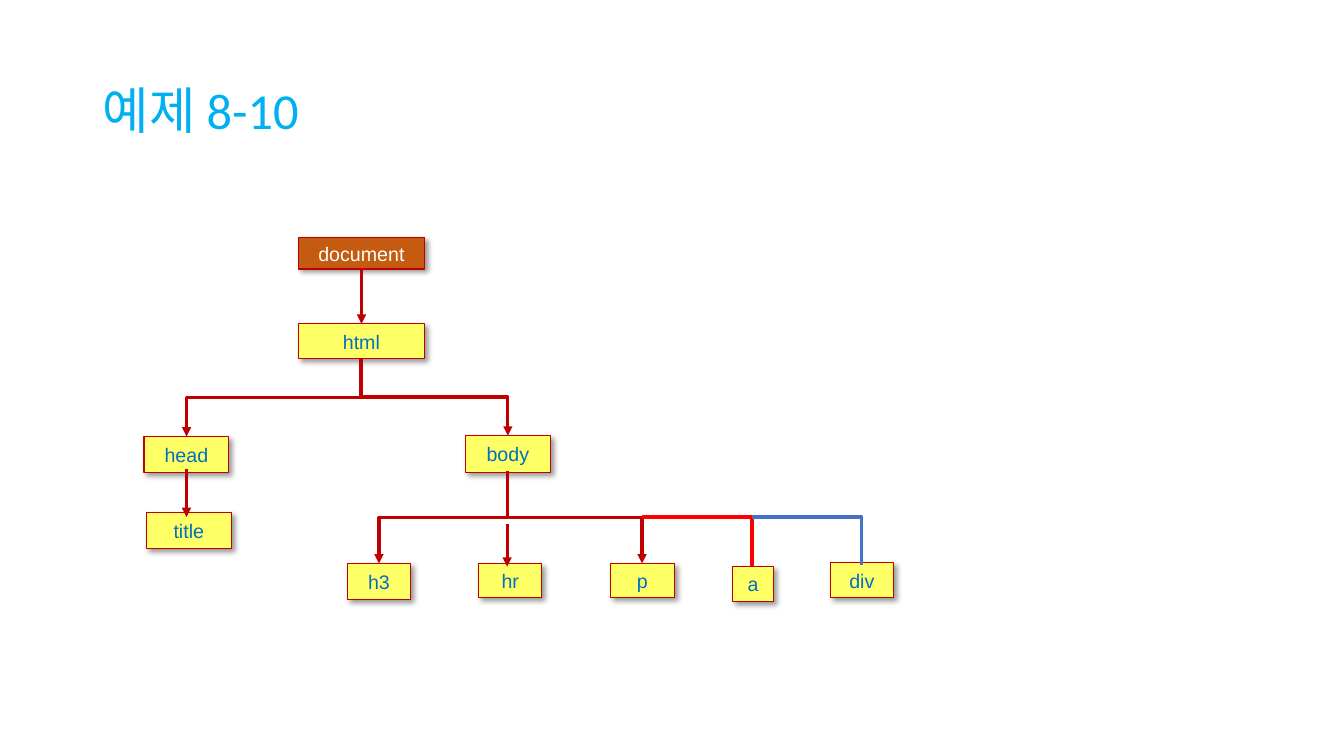
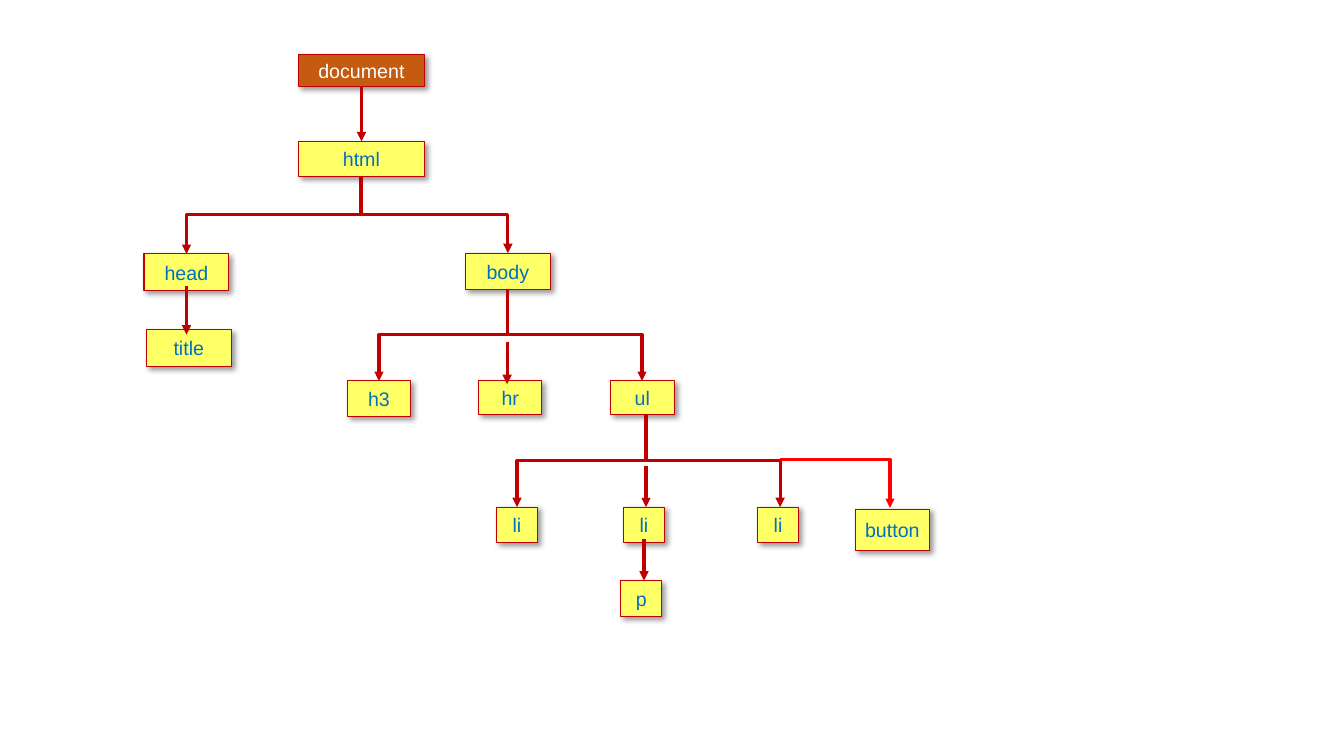
from lxml import etree
from pptx import Presentation
from pptx import util as u
from pptx.dml.color import RGBColor
from pptx.enum import shapes, text
from pptx.oxml import ns

SKY = RGBColor(0x00, 0xB0, 0xF0)
RUST = RGBColor(0xC5, 0x5A, 0x11)
YELLOW = RGBColor(0xFF, 0xFF, 0x66)
CRIMSON = RGBColor(0xC0, 0x00, 0x00)
RED = RGBColor(0xFF, 0x00, 0x00)
BLUE = RGBColor(0x44, 0x72, 0xC4)
INK = RGBColor(0x00, 0x70, 0xC0)
WHITE = RGBColor(0xFF, 0xFF, 0xFF)

SHADOW = (
    '<a:outerShdw xmlns:a="http://schemas.openxmlformats.org/drawingml/2006/main" '
    'blurRad="50800" dist="38100" dir="2700000" algn="tl" rotWithShape="0">'
    '<a:srgbClr val="000000"><a:alpha val="40000"/></a:srgbClr></a:outerShdw>'
)


def add_node(slide, label, left, top, width, height, fill=YELLOW, ink=INK):
    node = slide.shapes.add_shape(
        shapes.MSO_SHAPE.RECTANGLE, u.Cm(left), u.Cm(top), u.Cm(width), u.Cm(height))
    node.fill.solid()
    node.fill.fore_color.rgb = fill
    node.line.color.rgb = CRIMSON
    node.line.width = u.Pt(0.75)
    node.shadow.inherit = False
    effects = node._element.spPr.find(ns.qn("a:effectLst"))
    effects.append(etree.fromstring(SHADOW))
    frame = node.text_frame
    frame.word_wrap = False
    frame.vertical_anchor = text.MSO_ANCHOR.MIDDLE
    frame.margin_left = frame.margin_right = u.Cm(0.1)
    frame.margin_top = frame.margin_bottom = u.Cm(0.13)
    caption = frame.paragraphs[0]
    caption.text = label
    caption.alignment = text.PP_ALIGN.CENTER
    caption.space_before = u.Pt(2.8)
    caption.font.name = "Arial"
    caption.font.size = u.Pt(14)
    caption.font.color.rgb = ink
    return node


def add_link(slide, route, x1, y1, x2, y2, color=CRIMSON, width=2.25, arrow=True):
    kind = shapes.MSO_CONNECTOR.STRAIGHT if route == "straight" else shapes.MSO_CONNECTOR.ELBOW
    rightward = x2 > x1
    if route == "fork":
        middle_x, middle_y = (x1 + x2) / 2, (y1 + y2) / 2
        half_w, half_h = (y2 - y1) / 2, abs(x2 - x1) / 2
        if rightward:
            half_w = -half_w
        x1, x2 = middle_x - half_w, middle_x + half_w
        y1, y2 = middle_y - half_h, middle_y + half_h
    link = slide.shapes.add_connector(kind, u.Cm(x1), u.Cm(y1), u.Cm(x2), u.Cm(y2))
    properties = link._element.spPr
    if route == "fork":
        quarter_turns = 3 if rightward else 1
        properties.find(ns.qn("a:xfrm")).set("rot", str(quarter_turns * 5400000))
    if route == "corner":
        properties.find(ns.qn("a:prstGeom")).set("prst", "bentConnector2")
    link.line.color.rgb = color
    link.line.width = u.Pt(width)
    if arrow:
        stroke = properties.find(ns.qn("a:ln"))
        etree.SubElement(stroke, ns.qn("a:tailEnd"), type="triangle")
    etree.SubElement(properties, ns.qn("a:effectLst"))
    return link


deck = Presentation()
deck.slide_width = u.Cm(33.87)
deck.slide_height = u.Cm(19.05)
blank = deck.slide_layouts[6]
example, list_tree = [deck.slides.add_slide(blank) for _ in range(2)]

heading = example.shapes.add_textbox(u.Cm(2.34), u.Cm(1.02), u.Cm(29.21), u.Cm(3.68))
heading.text_frame.word_wrap = True
heading.text_frame.vertical_anchor = text.MSO_ANCHOR.MIDDLE
title = heading.text_frame.paragraphs[0]
title.text = "예제 8-10"
title.line_spacing = 0.9
title.font.name = "Calibri"
title.font.size = u.Pt(36)
title.font.color.rgb = SKY

common_nodes = [
    ("head", 3.63, 6.4, 2.14, 0.92),
    ("body", 11.73, 6.38, 2.14, 0.92),
    ("title", 3.69, 8.31, 2.14, 0.92),
    ("h3", 8.76, 9.6, 1.58, 0.9),
    ("hr", 12.07, 9.6, 1.58, 0.85),
]
common_links = [
    ("fork", 9.1, 4.43, 4.7, 6.4),
    ("fork", 9.1, 4.43, 12.8, 6.38),
    ("fork", 12.8, 7.28, 9.55, 9.6),
    ("fork", 12.8, 7.28, 16.18, 9.6),
    ("straight", 12.78, 8.61, 12.78, 9.68),
    ("straight", 4.7, 7.21, 4.7, 8.43),
]
for slide, drop, third_child in [(example, 4.6, "p"), (list_tree, 0, "ul")]:
    document = add_node(slide, "document", 7.52, 1.38 + drop, 3.18, 0.8, RUST, WHITE)
    html = add_node(slide, "html", 7.52, 3.56 + drop, 3.18, 0.88)
    for label, left, top, width, height in common_nodes + [(third_child, 15.39, 9.6, 1.6, 0.85)]:
        add_node(slide, label, left, top + drop, width, height)
    root_link = add_link(slide, "straight", 9.11, 2.18 + drop, 9.11, 3.56 + drop)
    root_link.begin_connect(document, 2)
    root_link.end_connect(html, 0)
    for route, x1, y1, x2, y2 in common_links:
        add_link(slide, route, x1, y1 + drop, x2, y2 + drop)

add_node(example, "a", 18.47, 14.27, 1.02, 0.9)
add_node(example, "div", 20.93, 14.17, 1.58, 0.9)
add_link(example, "corner", 16.18, 13.03, 18.95, 14.27, RED, 2.5, arrow=False)
add_link(example, "corner", 18.95, 13.03, 21.72, 14.25, BLUE, arrow=False)

for item_left in (12.52, 15.72, 19.1):
    add_node(list_tree, "li", item_left, 12.78, 1.02, 0.9)
add_node(list_tree, "p", 15.65, 14.63, 1.02, 0.9)
add_node(list_tree, "button", 21.56, 12.83, 1.86, 1.04)
for item_center in (13.03, 19.66):
    add_link(list_tree, "fork", 16.28, 10.45, item_center, 12.78)
add_link(list_tree, "straight", 16.28, 11.73, 16.28, 12.78)
add_link(list_tree, "straight", 16.23, 13.59, 16.23, 14.63)
add_link(list_tree, "corner", 19.66, 11.58, 22.43, 12.8, RED)

deck.save("out.pptx")
